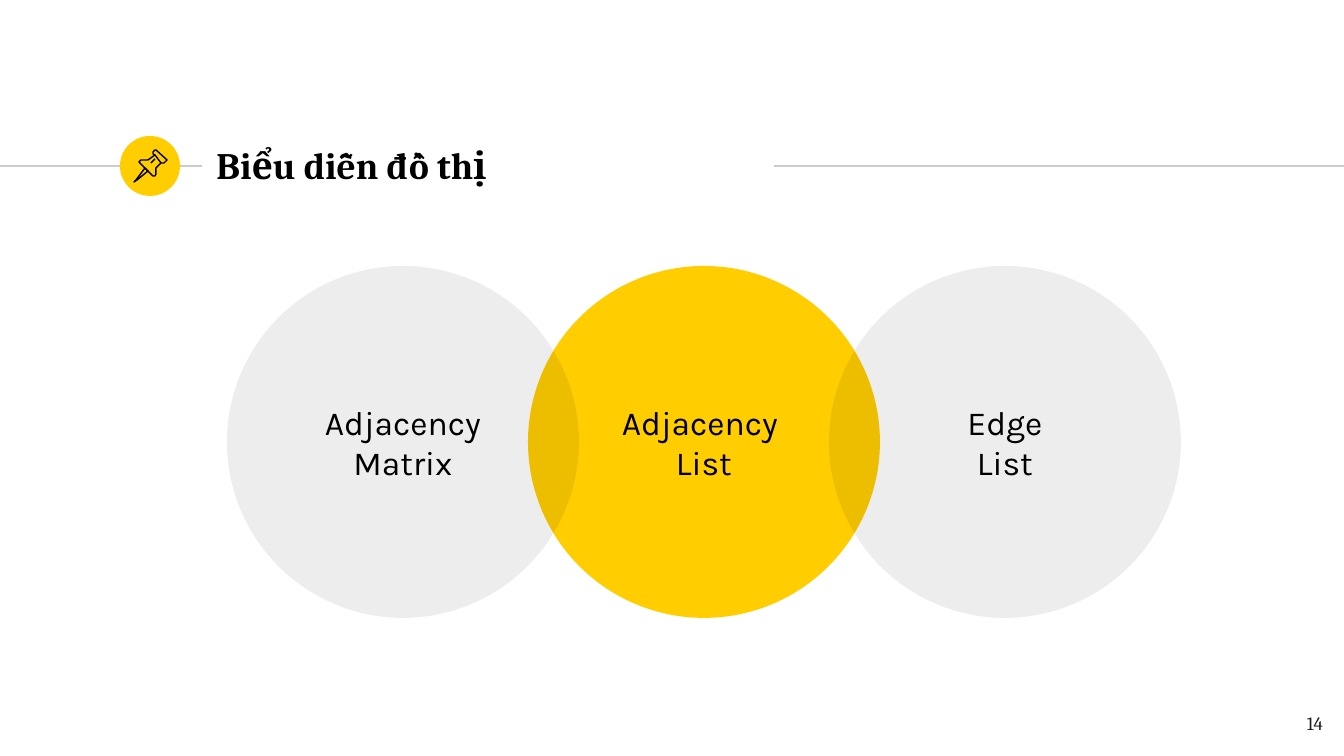
import pptx
import pptx.util
import pptx.dml.color
import pptx.enum.shapes
import pptx.enum.text
import pptx.oxml.ns
import lxml.etree

PX = 914400 / 134.4
YELLOW = pptx.dml.color.RGBColor(0xFF, 0xCD, 0x00)
BLACK = pptx.dml.color.RGBColor(0x00, 0x00, 0x00)
RULE_GRAY = pptx.dml.color.RGBColor(0xCC, 0xCC, 0xCC)
NUMBER_INK = pptx.dml.color.RGBColor(0x1D, 0x1D, 0x1B)
ALIGN = pptx.enum.text.PP_ALIGN
ANCHOR = pptx.enum.text.MSO_ANCHOR
OVAL = pptx.enum.shapes.MSO_SHAPE.OVAL


def px(*lengths):
    return [round(length * PX) for length in lengths]


def write(shape, text, *, size, font, color=BLACK, bold=False, align=ALIGN.CENTER, anchor=ANCHOR.MIDDLE):
    frame = shape.text_frame
    frame.text = text
    frame.word_wrap = True
    frame.auto_size = pptx.enum.text.MSO_AUTO_SIZE.NONE
    frame.vertical_anchor = anchor
    frame.margin_left = frame.margin_right = frame.margin_top = frame.margin_bottom = pptx.util.Inches(0.1)
    for paragraph in frame.paragraphs:
        paragraph.alignment = align
        for run in paragraph.runs:
            run.font.size = pptx.util.Pt(size)
            run.font.name = font
            run.font.bold = bold
            run.font.color.rgb = color


deck = pptx.Presentation()
deck.slide_width, deck.slide_height = px(1344, 756)
slide = deck.slides.add_slide(deck.slide_layouts[5])
shapes = slide.shapes

for start, end in [(0, 202), (774, 1344)]:
    rule = shapes.add_connector(pptx.enum.shapes.MSO_CONNECTOR.STRAIGHT, *px(start, 166, end, 166))
    rule.line.color.rgb = RULE_GRAY
    rule.line.width = pptx.util.Pt(0.75)
    lxml.etree.SubElement(rule.element.spPr, pptx.oxml.ns.qn("a:effectLst"))

badge = shapes.add_shape(OVAL, *px(120, 136, 60, 60))
badge.shadow.inherit = False
badge.fill.solid()
badge.fill.fore_color.rgb = YELLOW
badge.line.fill.background()

heading = shapes.title
heading.left, heading.top, heading.width, heading.height = px(203, 132, 570, 65)
write(heading, "Biểu diễn đồ thị", size=20, font="Cambria", bold=True, align=ALIGN.LEFT)

representations = [
    ("Adjacency \nList", 1, YELLOW, None),
    ("Adjacency Matrix", 0, BLACK, 7),
    ("Edge\vList", 2, BLACK, 7),
]
for label, column, color, opacity in representations:
    circle = shapes.add_shape(OVAL, *px(227 + 301 * column, 266, 352, 352))
    circle.shadow.inherit = False
    circle.fill.solid()
    circle.fill.fore_color.rgb = color
    circle.line.fill.background()
    if opacity:
        tint = circle.element.spPr.find(".//" + pptx.oxml.ns.qn("a:srgbClr"))
        lxml.etree.SubElement(tint, pptx.oxml.ns.qn("a:alpha"), val=str(opacity * 1000))
    write(circle, label, size=18, font="Karla")

needle = [(145, 168), (136, 180), (134, 182), (137, 180), (148, 171)]
head = [(155, 155), (161, 163), (164, 163), (166, 161), (167, 160), (156, 150), (155, 150), (153, 152), (153, 154)]
body = [(155, 155), (148, 160), (145, 160), (141, 160), (139, 162), (140, 163),
        (153, 176), (155, 176), (156, 174), (156, 168), (161, 163)]
glint = [(151, 163), (155, 159)]
for points, closed in [(needle, True), (head, True), (body, False), (glint, False)]:
    builder = shapes.build_freeform(*points[0], scale=PX)
    builder.add_line_segments(points[1:], close=closed)
    pin_part = builder.convert_to_shape()
    pin_part.shadow.inherit = False
    pin_part.fill.background()
    pin_part.line.color.rgb = BLACK
    pin_part.line.width = pptx.util.Pt(0.75)

page_number = shapes.add_textbox(*px(1255, 698, 81, 58))
write(page_number, "14", size=10, font="Cambria", color=NUMBER_INK, align=ALIGN.RIGHT, anchor=ANCHOR.TOP)

deck.save("out.pptx")
